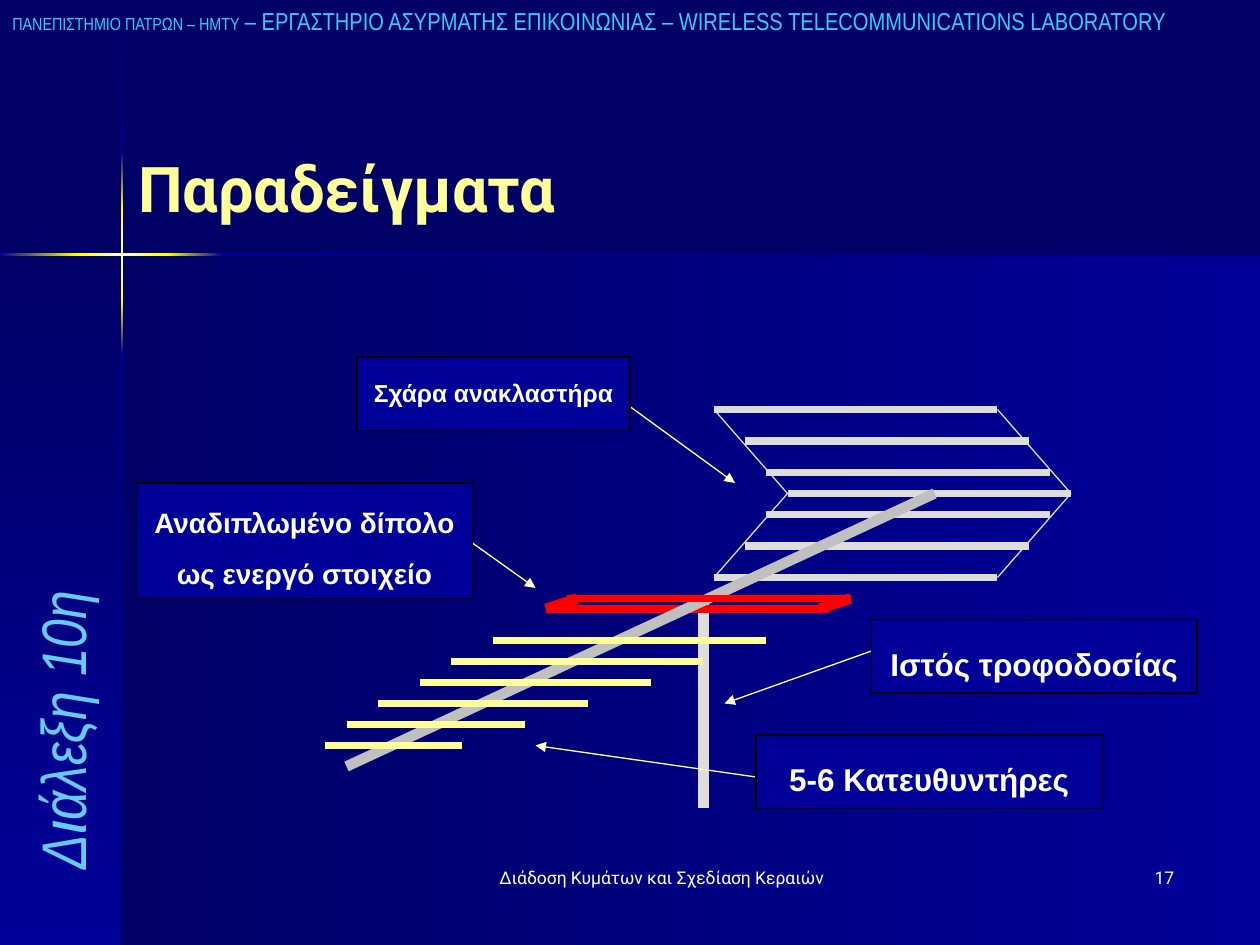
import copy

import pptx
import pptx.dml.color
import pptx.enum.shapes
import pptx.enum.text
import pptx.oxml
import pptx.oxml.ns
import pptx.util

RGBColor = pptx.dml.color.RGBColor
NAVY = RGBColor(0x00, 0x00, 0x66)
BLUE = RGBColor(0x00, 0x00, 0x99)
YELLOW = RGBColor(0xFF, 0xFF, 0x00)
CREAM = RGBColor(0xFF, 0xFF, 0xCC)
PALE_YELLOW = RGBColor(0xFF, 0xFF, 0x99)
SKY = RGBColor(0x66, 0xCC, 0xFF)
CYAN = RGBColor(0x33, 0xCC, 0xFF)
WHITE = RGBColor(0xFF, 0xFF, 0xFF)
BLACK = RGBColor(0x00, 0x00, 0x00)
LIGHT_GREY = RGBColor(0xDD, 0xDD, 0xDD)
GREY = RGBColor(0xC0, 0xC0, 0xC0)
RED = RGBColor(0xFF, 0x00, 0x00)

STEP = 2.54 / 12
LEFT = pptx.enum.text.PP_ALIGN.LEFT
CENTER = pptx.enum.text.PP_ALIGN.CENTER
RIGHT = pptx.enum.text.PP_ALIGN.RIGHT
TOP = pptx.enum.text.MSO_ANCHOR.TOP
BOTTOM = pptx.enum.text.MSO_ANCHOR.BOTTOM

deck = pptx.Presentation()
deck.slide_width = pptx.util.Cm(25.4)
deck.slide_height = pptx.util.Cm(19.05)
slide = deck.slides.add_slide(deck.slide_layouts[6])
slide.background.fill.solid()
slide.background.fill.fore_color.rgb = NAVY


def draw_line(ends, color, width, arrow=False):
    line = slide.shapes.add_connector(
        pptx.enum.shapes.MSO_CONNECTOR.STRAIGHT,
        *[pptx.util.Cm(value * STEP) for value in ends])
    line.line.color.rgb = color
    line.line.width = pptx.util.Pt(width)
    properties = line._element.spPr
    if arrow:
        head = pptx.oxml.parse_xml(
            f'<a:tailEnd {pptx.oxml.ns.nsdecls("a")} type="triangle"/>')
        properties.find(pptx.oxml.ns.qn("a:ln")).append(head)
    properties.append(pptx.oxml.parse_xml(
        f'<a:effectLst {pptx.oxml.ns.nsdecls("a")}/>'))


def write_text(holder, runs, color, align, anchor, font_format, spacing=None):
    frame = holder.text_frame
    for key, value in {"word_wrap": True, "vertical_anchor": anchor}.items():
        setattr(frame, key, value)
    paragraph = frame.paragraphs[0]
    for key, value in {"alignment": align, "line_spacing": spacing}.items():
        setattr(paragraph, key, value)
    for text, size in runs:
        run = paragraph.add_run()
        run.text = text
        for key, value in {"size": pptx.util.Pt(size), **font_format}.items():
            setattr(run.font, key, value)
        run.font.color.rgb = color


glow = (YELLOW, CREAM, YELLOW)
bar_x, bar_y, bar = 11.52, 24.1, 0.24
panels = [
    ((11.64, 24.24, 108.36, 65.76), (BLUE, NAVY), 180),
    ((0, 24.24, 11.64, 65.76), (NAVY, BLUE), 270),
]
for top, bottom, colors in [
    (0.1, 14.5, (NAVY, BLUE)),
    (14.5, 19.8, (BLUE, YELLOW)),
    (19.8, 28.6, glow),
    (28.6, 33.8, (YELLOW, BLUE)),
    (33.8, 90, (BLUE, NAVY)),
]:
    panels.append(((bar_x, top, bar, bottom - top), colors, 270))
for left, right, colors in [
    (0, 7.25, (YELLOW, BLUE)),
    (7.25, 16, glow),
    (16, 21.2, (BLUE, YELLOW)),
    (21.2, 120, (NAVY, BLUE)),
]:
    panels.append(((left, bar_y, right - left, bar), colors, 180))

for place, colors, angle in panels:
    panel = slide.shapes.add_shape(
        pptx.enum.shapes.MSO_SHAPE.RECTANGLE,
        *[pptx.util.Cm(value * STEP) for value in place])
    panel.shadow.inherit = False
    panel.line.fill.background()
    panel.fill.gradient()
    panel.fill.gradient_angle = angle
    stops = panel._element.spPr.find(
        pptx.oxml.ns.qn("a:gradFill")).find(pptx.oxml.ns.qn("a:gsLst"))
    for _ in colors[2:]:
        stops.append(copy.deepcopy(stops[0]))
    for index, (stop, color) in enumerate(zip(panel.fill.gradient_stops, colors)):
        stop.position = index / (len(colors) - 1)
        stop.color.rgb = color

draw_line((67, 57, 67, 77), LIGHT_GREY, 6)
grid_width = 27
for ends in [(68, 39, 75, 47), (75, 47, 68, 55)]:
    for shift in (0, grid_width):
        draw_line((ends[0] + shift, ends[1], ends[2] + shift, ends[3]),
                  LIGHT_GREY, 0.75)
for left, y in [(75, 47), (73, 45), (71, 42), (68, 39), (73, 49), (71, 52), (68, 55)]:
    draw_line((left, y, left + grid_width, y), LIGHT_GREY, 4.5)

draw_line((52, 58, 79, 58), RED, 4.5)
draw_line((89, 47, 33, 73), GREY, 6)
draw_line((54, 57, 81, 57), RED, 4.5)
draw_line((81, 57, 78, 58), RED, 6)
draw_line((55, 57, 52, 58), RED, 6)

directors = [(47, 73), (43, 67), (40, 62), (36, 56), (33, 50), (31, 44)]
for index, (left, right) in enumerate(directors):
    y = 61 + 2 * index
    draw_line((left, y, right, y), PALE_YELLOW, 4.5)

labels = [
    ((72, 70, 33, 7), "5-6 Κατευθυντήρες", 18, (72, 74, 51, 71)),
    ((83, 59, 31, 7), "Ιστός τροφοδοσίας", 18, (83, 62, 69, 67)),
    ((13, 46, 32, 11), "Αναδιπλωμένο δίπολο ως ενεργό στοιχείο", 16, (44, 51, 51, 56)),
    ((34, 34, 26, 7), "Σχάρα ανακλαστήρα", 14, (59, 38, 70, 46)),
]
for place, text, size, pointer in labels:
    draw_line(pointer, CREAM, 0.75, arrow=True)
    label = slide.shapes.add_shape(
        pptx.enum.shapes.MSO_SHAPE.RECTANGLE,
        *[pptx.util.Cm(value * STEP) for value in place])
    label.shadow.inherit = False
    label.fill.solid()
    label.fill.fore_color.rgb = BLUE
    label.line.color.rgb = BLACK
    label.line.width = pptx.util.Pt(1)
    write_text(label, [(text, size)], WHITE, CENTER, TOP,
               {"name": "Arial", "bold": True}, 1.5)

narrow = {"name": "Arial Narrow"}
roboto = {"name": "Roboto"}
captions = [
    ((-17, 57, 46, 8), 270, [("Διάλεξη 10η", 36)], SKY, LEFT, BOTTOM,
     {**narrow, "italic": True}),
    ((12, 11.2, 93, 10.8), 0, [("Παραδείγματα", 36)], PALE_YELLOW, LEFT, BOTTOM,
     {**roboto, "bold": True}),
    ((0, 0, 134, 4), 0,
     [("ΠΑΝΕΠΙΣΤΗΜΙΟ ΠΑΤΡΩΝ – ΗΜΤΥ", 10),
      (" – ΕΡΓΑΣΤΗΡΙΟ ΑΣΥΡΜΑΤΗΣ ΕΠΙΚΟΙΝΩΝΙΑΣ – WIRELESS TELECOMMUNICATIONS LABORATORY", 14)],
     CYAN, LEFT, TOP, narrow),
    ((44, 82, 38, 6), 0, [("Διάδοση Κυμάτων και Σχεδίαση Κεραιών", 10)],
     WHITE, CENTER, TOP, roboto),
    ((88, 82, 25, 6), 0, [("17", 10)], WHITE, RIGHT, TOP, roboto),
]
for place, rotation, runs, color, align, anchor, font_format in captions:
    caption = slide.shapes.add_textbox(
        *[pptx.util.Cm(value * STEP) for value in place])
    caption.rotation = rotation
    write_text(caption, runs, color, align, anchor, font_format)

deck.save("out.pptx")
